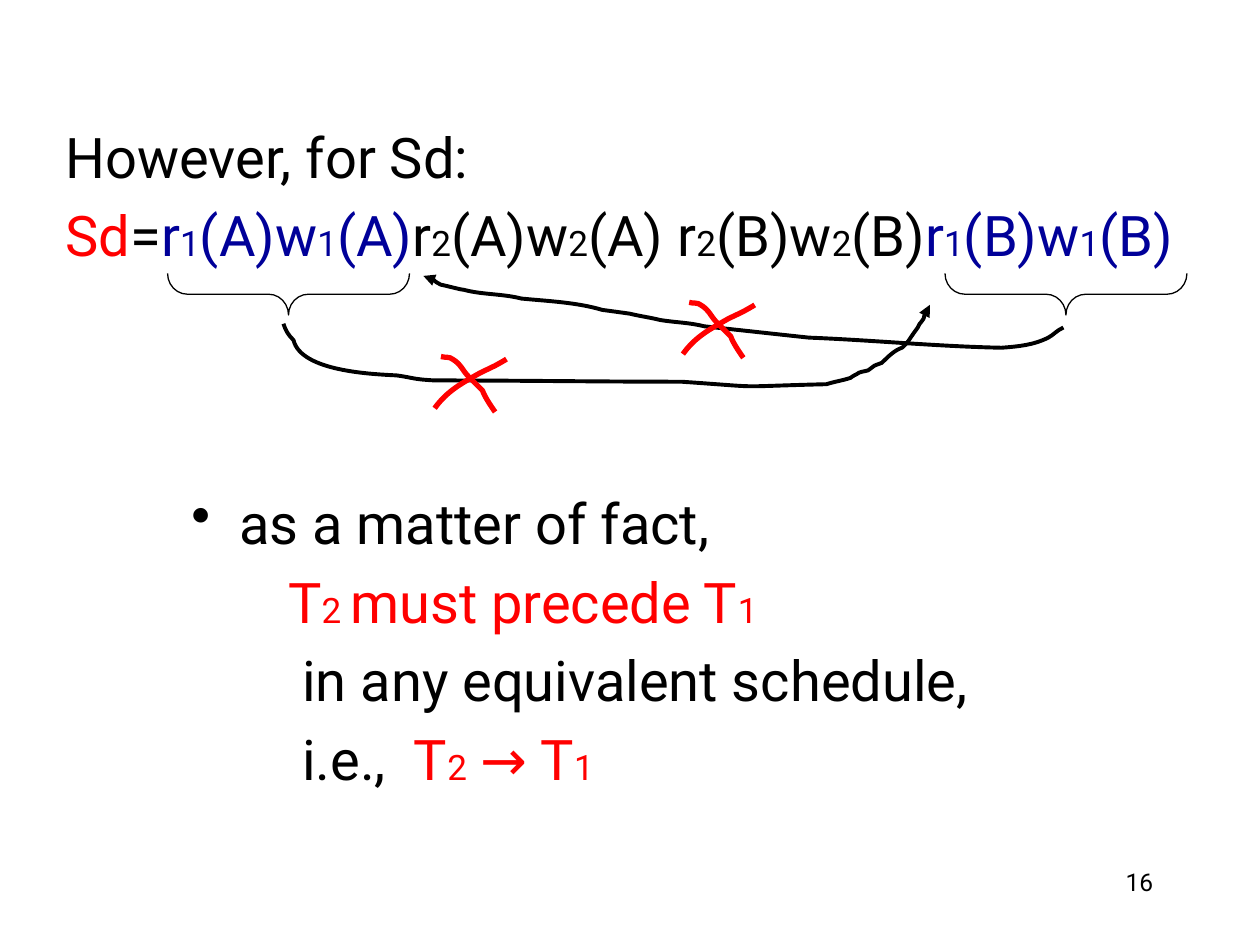
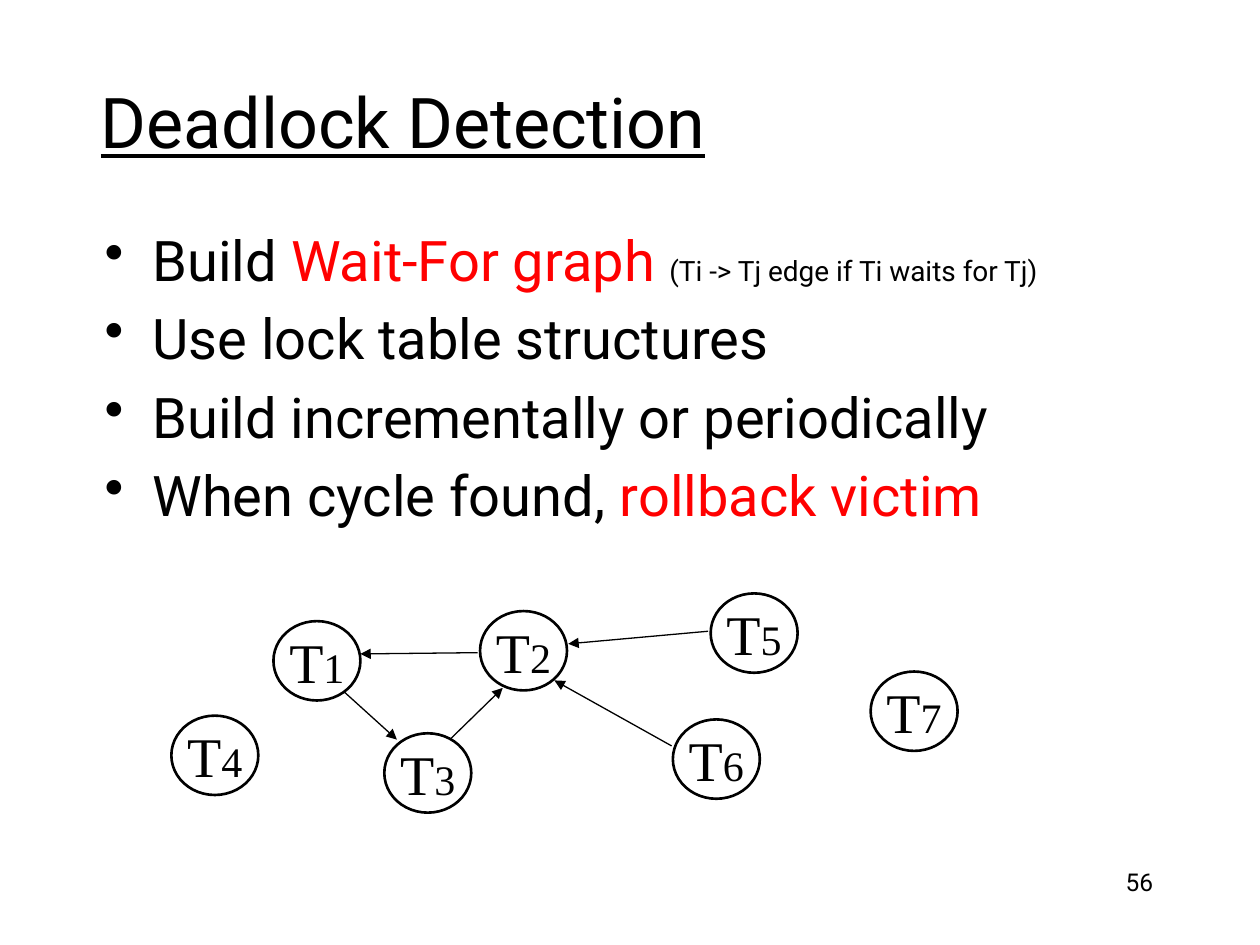
from lxml.etree import SubElement
from pptx import Presentation
from pptx.dml.color import RGBColor
from pptx.enum.shapes import MSO_CONNECTOR, MSO_SHAPE
from pptx.enum.text import MSO_ANCHOR, MSO_AUTO_SIZE, PP_ALIGN
from pptx.oxml.ns import qn
from pptx.util import Emu, Pt

COLOURS = {"ink": "000000", "accent": "FF0000", "first": "000099", "paper": "FFFFFF"}
SANS, SERIF = "Roboto", "Times New Roman"
HANGING = 0.38

deck = Presentation()
deck.slide_width, deck.slide_height = Emu(9144000), Emu(6858000)
CELL = deck.slide_width / 10

BACKWARD = [
    (6.44, 0.6), (6.39, 0.62), (6.36, 0.66), (6.32, 0.68), (6.2, 0.74), (6.08, 0.75),
    (5.95, 0.76), (5.44, 0.75), (4.93, 0.7), (4.42, 0.68), (4.14, 0.65), (3.87, 0.62),
    (3.59, 0.59), (3.47, 0.56), (3.36, 0.56), (3.24, 0.54), (3.16, 0.52), (3.08, 0.51),
    (3, 0.49), (2.93, 0.48), (2.78, 0.46), (2.78, 0.46), (2.58, 0.4), (2.35, 0.39),
    (2.14, 0.37), (1.98, 0.33), (1.83, 0.34), (1.68, 0.3), (1.66, 0.3), (1.55, 0.27),
    (1.5, 0.26), (1.44, 0.23), (1.43, 0.19), (1.36, 0.19)]
FORWARD = [
    (0.25, 0.57), (0.27, 0.63), (0.29, 0.66), (0.33, 0.7), (0.39, 0.95), (0.96, 0.97),
    (1.15, 0.98), (1.29, 1), (1.27, 1.01), (1.45, 1.02), (2.1, 1.02), (2.75, 1.03),
    (3.41, 1.03), (4.14, 1.08), (3.75, 1.07), (4.56, 1.05), (4.62, 1.03), (4.69, 1.02),
    (4.75, 1), (4.76, 0.99), (4.78, 0.98), (4.8, 0.97), (4.82, 0.95), (4.86, 0.95),
    (4.89, 0.94), (4.96, 0.89), (4.92, 0.91), (5, 0.88), (5.05, 0.83), (5.1, 0.78),
    (5.16, 0.76), (5.23, 0.69), (5.19, 0.73), (5.27, 0.62), (5.28, 0.61), (5.29, 0.59),
    (5.3, 0.57), (5.31, 0.56), (5.33, 0.53), (5.33, 0.53), (5.34, 0.51), (5.34, 0.48),
    (5.35, 0.46), (5.35, 0.45), (5.38, 0.42), (5.38, 0.42)]
RISING = [
    (0, 0.41), (0.1, 0.27), (0.22, 0.21), (0.36, 0.13), (0.42, 0.1), (0.47, 0.08),
    (0.52, 0.05), (0.54, 0.04), (0.57, 0.02), (0.57, 0.02)]
FALLING = [
    (0.05, 0), (0.08, 0.01), (0.12, 0), (0.14, 0.02), (0.21, 0.06), (0.22, 0.11),
    (0.27, 0.16), (0.31, 0.2), (0.38, 0.27), (0.38, 0.27), (0.4, 0.33), (0.48, 0.44),
    (0.48, 0.44)]


def cells(*values):
    """Turn grid cells into slide lengths."""
    return [Emu(round(value * CELL)) for value in values]


def colour(name):
    """Look up a colour of the deck."""
    return RGBColor.from_string(COLOURS[name])


def place(shape, box):
    """Move a shape to a box given in cells."""
    shape.left, shape.top, shape.width, shape.height = cells(*box)


def write(para, parts, size=32, small=20, font=SANS):
    """Add coloured parts, where each second piece between bars is small."""
    for text, name in parts:
        for index, piece in enumerate(text.split("|")):
            if piece:
                span = para.add_run()
                span.text = piece
                span.font.name = font
                span.font.size = Pt(small if index % 2 else size)
                span.font.color.rgb = colour(name)


def space(para, before, left=0, first=0, bullet=None):
    """Set the space before in percent, the indents in cells and the bullet."""
    layout = para._p.get_or_add_pPr()
    left, first = cells(left, first)
    layout.set("marL", str(left))
    layout.set("indent", str(first))
    gap = SubElement(layout, qn("a:spcBef"))
    SubElement(gap, qn("a:spcPct")).set("val", str(before * 1000))
    if bullet:
        SubElement(layout, qn("a:buFontTx"))
        SubElement(layout, qn("a:buChar")).set("char", bullet)
    else:
        SubElement(layout, qn("a:buNone"))


def fill_list(shape, rows, small=20):
    """Write rows of parts, each with its indent, or None for a bullet."""
    frame = shape.text_frame
    frame.word_wrap = True
    frame.auto_size = MSO_AUTO_SIZE.NONE
    frame.text = "\n" * (len(rows) - 1)
    for para, (indent, parts) in zip(frame.paragraphs, rows):
        if indent is None:
            space(para, 20, HANGING, -HANGING, "•")
        else:
            space(para, 20, indent)
        write(para, parts, small=small)


def outline(shape, name, width, arrow=False):
    """Draw the line of a shape or connector, with an arrowhead if asked."""
    shape.line.color.rgb = colour(name)
    shape.line.width = Pt(width)
    if arrow:
        SubElement(shape.line._get_or_add_ln(), qn("a:tailEnd")).set("type", "triangle")


def add_curve(page, origin, points, name, width, arrow=False):
    """Draw joined cubic curves, three points for each after the start."""
    spots = [cells(origin[0] + x, origin[1] + y) for x, y in points]
    builder = page.shapes.build_freeform(*spots[0], scale=1.0)
    builder.add_line_segments(spots[1:], close=False)
    curve = builder.convert_to_shape()
    steps = list(curve._element.iter(qn("a:lnTo")))
    for start in range(0, len(steps), 3):
        bend, *others = steps[start:start + 3]
        bend.tag = qn("a:cubicBezTo")
        for step in others:
            bend.append(step[0])
            step.getparent().remove(step)
    curve.fill.background()
    curve.shadow.inherit = False
    outline(curve, name, width, arrow)


def add_cross(page, origin):
    """Cross out an arrow by hand."""
    for stroke in (RISING, FALLING):
        add_curve(page, origin, stroke, "accent", 3)


def add_brace(page, box):
    """Lay a brace under a piece of the schedule, filling the box."""
    left, top, width, height = box
    turned = (left + (width - height) / 2, top + (height - width) / 2, height, width)
    brace = page.shapes.add_shape(MSO_SHAPE.LEFT_BRACE, *cells(*turned))
    brace.rotation = 270
    brace.adjustments[0] = 0.479
    brace.fill.background()
    brace.shadow.inherit = False
    outline(brace, "ink", 0.75)


def add_conflicts(page, box):
    """Draw the braces and the two crossed-out arrows."""
    left, top = box
    for offset in (-0.67, 5.5):
        add_brace(page, (left + offset, top + 0.17, 1.92, 0.33))
    for points in (BACKWARD, FORWARD):
        add_curve(page, box, points, "ink", 2.25, True)
    for x, y in ((1.45, 0.83), (3.42, 0.4)):
        add_cross(page, (left + x, top + y))


def add_node(page, box, number):
    """Draw one transaction of the graph."""
    node = page.shapes.add_shape(MSO_SHAPE.OVAL, *cells(*box))
    node.fill.solid()
    node.fill.fore_color.rgb = colour("paper")
    node.shadow.inherit = False
    outline(node, "ink", 1.5)
    node.text_frame.word_wrap = False
    node.text_frame.vertical_anchor = MSO_ANCHOR.MIDDLE
    para = node.text_frame.paragraphs[0]
    para.alignment = PP_ALIGN.CENTER
    space(para, 50)
    write(para, [(f"T|{number}", "ink")], small=24, font=SERIF)


def add_graph(page, box):
    """Draw the wait-for graph from the top left corner of its box."""
    left, top = box
    nodes = [(0.81, 0.22), (2.45, 0.14), (1.69, 1.11), (0, 0.97),
             (4.28, 0), (3.98, 1), (5.55, 0.62)]
    edges = [(1.37, 0.78, 1.79, 1.16), (2.22, 1.15, 2.63, 0.75), (2.43, 0.47, 1.5, 0.48),
             (4.26, 0.3, 3.15, 0.4), (3.97, 1.21, 3.04, 0.69)]
    for number, (x, y) in enumerate(nodes, 1):
        add_node(page, (left + x, top + y, 0.69, 0.63), number)
    for x, y, end_x, end_y in edges:
        ends = cells(left + x, top + y, left + end_x, top + end_y)
        edge = page.shapes.add_connector(MSO_CONNECTOR.STRAIGHT, *ends)
        outline(edge, "ink", 0.75, True)
        SubElement(edge._element.spPr, qn("a:effectLst"))


def add_page(number, title=None):
    """Start a slide with its number and an optional underlined title."""
    page = deck.slides.add_slide(deck.slide_layouts[1])
    heading = page.shapes.title
    if title:
        place(heading, (0.7, 0.49, 8.5, 0.94))
        heading.text_frame.auto_size = MSO_AUTO_SIZE.NONE
        heading.text_frame.vertical_anchor = MSO_ANCHOR.MIDDLE
        para = heading.text_frame.paragraphs[0]
        para.alignment = PP_ALIGN.LEFT
        write(para, [(title, "ink")], 40)
        para.runs[0].font.underline = True
    else:
        heading._element.getparent().remove(heading._element)
    label = page.shapes.add_textbox(*cells(7.17, 6.83, 2.08, 0.5))
    label.text_frame.word_wrap = True
    para = label.text_frame.paragraphs[0]
    para.alignment = PP_ALIGN.RIGHT
    write(para, [(str(number), "ink")], 14)
    return page


def schedule_page():
    """Build the slide on the schedule that cannot be reordered."""
    page = add_page(16)
    body = page.placeholders[1]
    place(body, (0.42, 0.92, 9.25, 2.08))
    fill_list(body, [
        (0, [("However, for Sd:", "ink")]),
        (0, [("Sd", "accent"), ("=", "ink"), ("r|1|(A)w|1|(A)", "first"),
             ("r|2|(A)w|2|(A) r|2|(B)w|2|(B)", "ink"), ("r|1|(B)w|1|(B)", "first")])])
    remark = page.shapes.add_textbox(*cells(1.42, 3.83, 7.67, 3.33))
    fill_list(remark, [
        (None, [("as a matter of fact,", "ink")]),
        (0.77, [("T|2 |must precede T|1", "accent")]),
        (0.88, [("in any equivalent schedule,", "ink")]),
        (0.88, [("i.e.,  ", "ink"), ("T|2| → T|1", "accent")])])
    add_conflicts(page, (2, 2))


def detection_page():
    """Build the slide on deadlock detection."""
    page = add_page(56, "Deadlock Detection")
    body = page.placeholders[1]
    place(body, (0.73, 1.74, 8.5, 2.68))
    fill_list(body, [
        (None, [("Build ", "ink"), ("Wait-For graph ", "accent"),
                ("|(Ti -> Tj edge if Ti waits for Tj)", "ink")]),
        (None, [("Use lock table structures", "ink")]),
        (None, [("Build incrementally or periodically", "ink")]),
        (None, [("When cycle found, ", "ink"), ("rollback victim", "accent")])], small=16)
    add_graph(page, (1.36, 4.71))


schedule_page()
detection_page()
deck.save("out.pptx")
